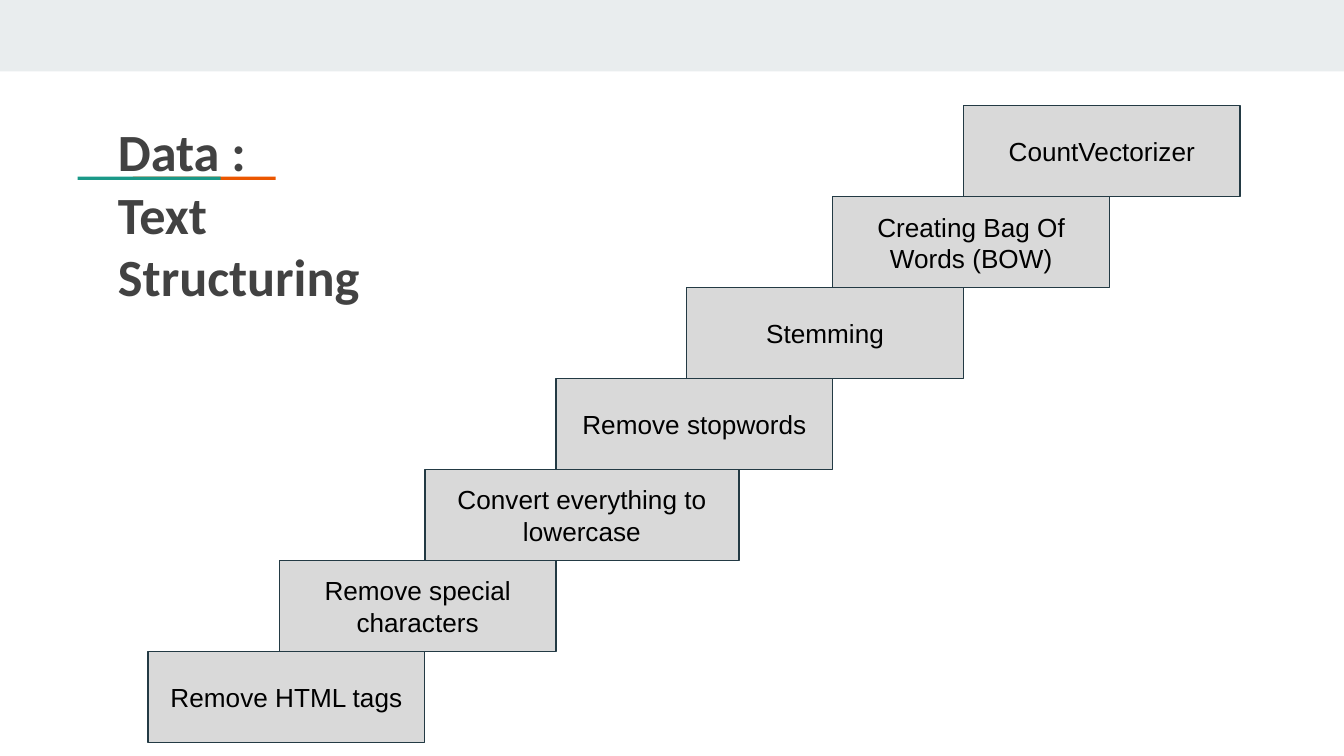
from pptx import Presentation
from pptx.dml.color import RGBColor
from pptx.enum.shapes import MSO_SHAPE
from pptx.enum.text import MSO_ANCHOR, MSO_AUTO_SIZE, PP_ALIGN
from pptx.util import Cm, Pt

TITLE_FONT = {"name": "Calibri", "size": Pt(28), "bold": True}
STEP_FONT = {"name": "Arial", "size": Pt(14), "bold": False}
STEP_WIDTH, STEP_HEIGHT = 5.23, 1.72
STAIR_TOP = 2

# Bottom step first: text, left edge and width in cm
STEPS = [
    ("Remove HTML tags", 2.8, STEP_WIDTH),
    ("Remove special characters", 5.28, STEP_WIDTH),
    ("Convert everything to lowercase", 8.03, 5.94),
    ("Remove stopwords", 10.51, STEP_WIDTH),
    ("Stemming", 12.98, STEP_WIDTH),
    ("Creating Bag Of Words (BOW)", 15.74, STEP_WIDTH),
    ("CountVectorizer", 18.21, STEP_WIDTH),
]


def color(hex_string):
    return RGBColor.from_string(hex_string)


def set_all(target, values):
    for name, value in values.items():
        setattr(target, name, value)


class StairPage:
    """Style and current slide."""

    frame_format = {
        "word_wrap": True, "auto_size": MSO_AUTO_SIZE.NONE,
        "margin_left": Cm(0.25), "margin_right": Cm(0.25),
        "margin_top": Cm(0.25), "margin_bottom": Cm(0.25),
    }

    def __init__(self, deck):
        self.page = deck.slides.add_slide(deck.slide_layouts[5])

    def fill_text(self, box, lines, font, text_color, align, anchor):
        frame = box.text_frame
        frame.text = "\n".join(lines)
        set_all(frame, {**self.frame_format, "vertical_anchor": anchor})
        for para in frame.paragraphs:
            para.alignment = align
            for span in para.runs:
                set_all(span.font, font)
                span.font.color.rgb = color(text_color)

    def title(self, lines, left, top, width, height):
        box = self.page.shapes.title
        set_all(box, {"left": Cm(left), "top": Cm(top),
                      "width": Cm(width), "height": Cm(height)})
        self.fill_text(box, lines, TITLE_FONT, "424242", PP_ALIGN.LEFT, MSO_ANCHOR.TOP)

    def bar(self, left, top, width, height, fill):
        """Add a plain rectangle without outline."""
        box = self.page.shapes.add_shape(
            MSO_SHAPE.RECTANGLE, Cm(left), Cm(top), Cm(width), Cm(height))
        box.shadow.inherit = False
        box.fill.solid()
        box.fill.fore_color.rgb = color(fill)
        box.line.fill.background()
        return box

    def step(self, text, left, top, width):
        box = self.bar(left, top, width, STEP_HEIGHT, "D9D9D9")
        box.line.color.rgb = color("233A44")
        box.line.width = Pt(0.75)
        self.fill_text(box, [text], STEP_FONT, "000000", PP_ALIGN.CENTER, MSO_ANCHOR.MIDDLE)


def main():
    deck = Presentation()
    deck.slide_width, deck.slide_height = Cm(25.4), Cm(14.29)
    stair = StairPage(deck)

    stair.bar(0, 0, 25.4, 1.35, "E9EDEE")
    for left, fill in ((2.51, "EB5600"), (1.47, "1A9988")):
        stair.bar(left, 3.34, 2.7, 0.06, fill)
    stair.title(["Data :", "Text Structuring"], 1.98, 2, 6.8, 1.72)

    for level, (text, left, width) in enumerate(reversed(STEPS)):
        stair.step(text, left, STAIR_TOP + level * STEP_HEIGHT, width)

    deck.save("out.pptx")


if __name__ == "__main__":
    main()
